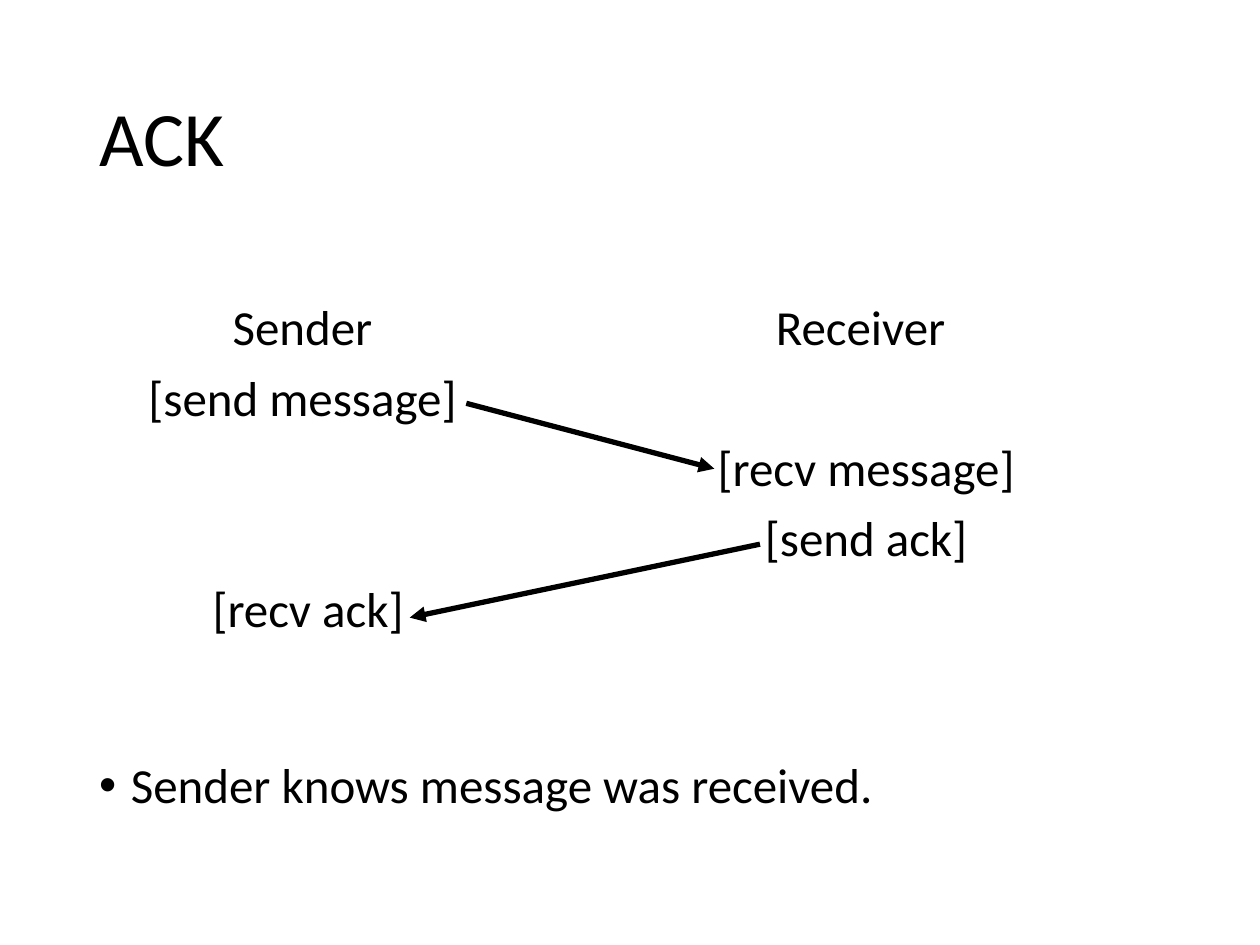
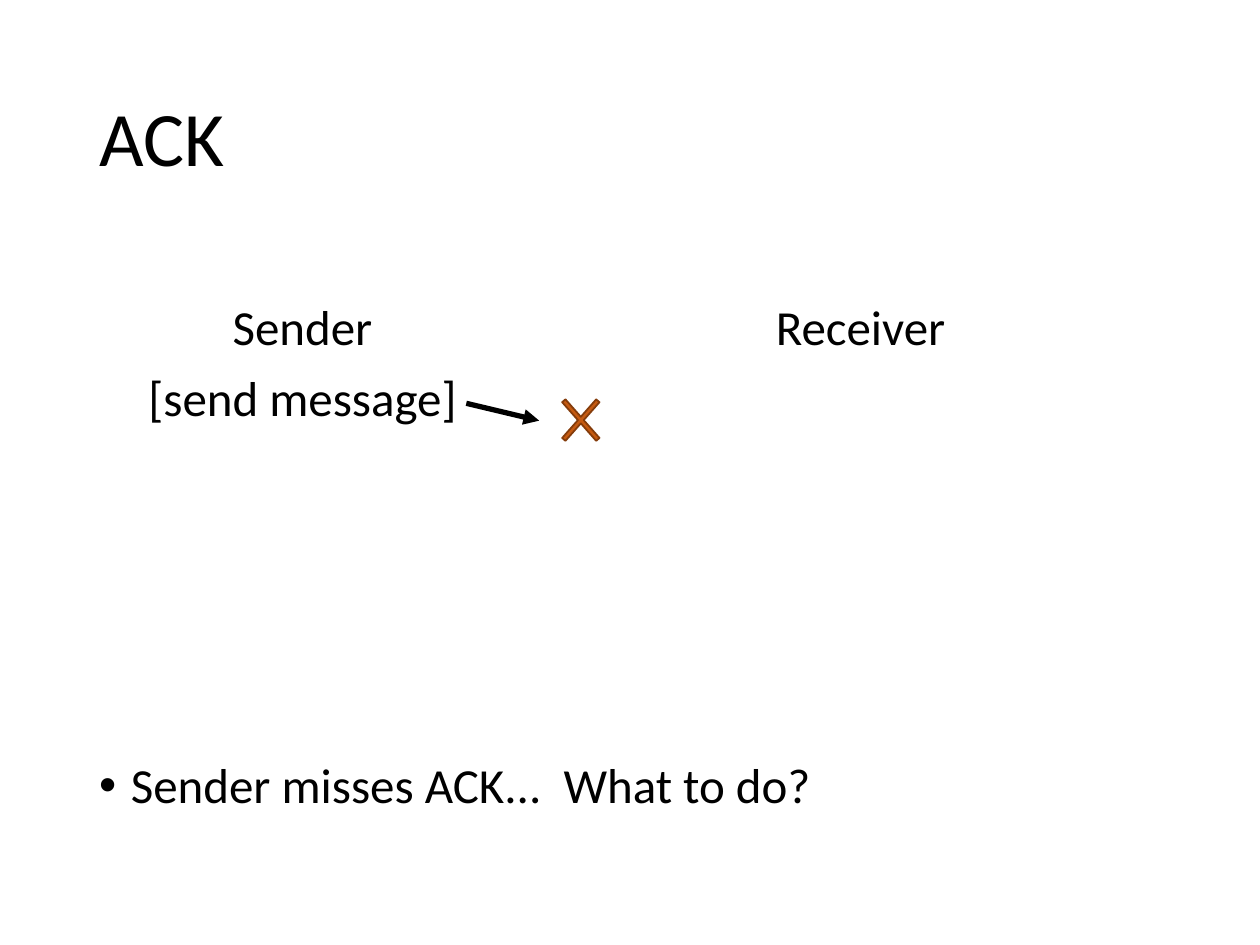
from dataclasses import dataclass
from typing import Any

from pptx import Presentation
from pptx import util as u
from pptx.dml import color
from pptx.enum import shapes, text
from pptx.oxml import ns
from lxml import etree

COLOURS = {"ink": "000000", "cross": "C55A11", "cross_edge": "843C0B"}
FONT = "Calibri"
BODY_SIZE = u.Pt(28)
ROW_PITCH = 40.2
ROW_GAP = 10
LEFT_COLUMN, RIGHT_COLUMN = 1.75, 13.0


@dataclass(frozen=True)
class Box:
    left: float
    top: float
    width: float
    height: float

    def lengths(self) -> list[u.Length]:
        return [u.Cm(v) for v in (self.left, self.top, self.width, self.height)]


@dataclass(frozen=True)
class Row:
    text: str
    skipped: int = 0


@dataclass(frozen=True)
class Arrow:
    x1: float
    y1: float
    x2: float
    y2: float


@dataclass(frozen=True)
class Exchange:
    sender: tuple[Row, ...]
    receiver: tuple[Row, ...]
    arrows: tuple[Arrow, ...]
    remark: str
    cross: Box | None = None


TITLE_BOX = Box(1.75, 1.02, 21.89, 3.68)
REMARK_BOX = Box(1.75, 15.21, 21.89, 1.96)
SENDER_START = (Row("Sender "), Row("[send message] "))

EXCHANGES = (
    Exchange(
        sender=(*SENDER_START, Row("[recv ack]", skipped=2)),
        receiver=(Row("Receiver "), Row("[recv message]", skipped=1), Row("[send ack]")),
        arrows=(Arrow(9.4, 8.13, 14.4, 9.45), Arrow(15.32, 10.97, 8.26, 12.45)),
        remark="Sender knows message was received.",
    ),
    Exchange(
        sender=SENDER_START,
        receiver=(Row("Receiver "),),
        arrows=(Arrow(9.4, 8.13, 10.87, 8.48),),
        remark="Sender misses ACK...  What to do?",
        cross=Box(11.05, 7.72, 1.32, 1.5),
    ),
)


def rgb(name: str) -> color.RGBColor:
    return color.RGBColor.from_string(COLOURS[name])


def apply(target: Any, values: dict[str, Any]) -> None:
    for name, value in values.items():
        setattr(target, name, value)


def add_text(s: Any, box: Box, rows: tuple[Row, ...], size: u.Length = BODY_SIZE,
             align: Any = text.PP_ALIGN.LEFT, anchor: Any = text.MSO_ANCHOR.TOP,
             gap: float = ROW_GAP) -> Any:
    tf = s.shapes.add_textbox(*box.lengths()).text_frame
    apply(tf, {"word_wrap": True, "vertical_anchor": anchor})
    for i, row in enumerate(rows):
        p = tf.add_paragraph() if i else tf.paragraphs[0]
        apply(p, {"alignment": align, "line_spacing": 0.9,
                  "space_before": u.Pt(gap + ROW_PITCH * row.skipped)})
        r = p.add_run()
        r.text = row.text
        apply(r.font, {"name": FONT, "size": size})
        r.font.color.rgb = rgb("ink")
    return tf


def add_bullet(p: Any) -> None:
    pPr = p._p.get_or_add_pPr()
    indent = u.Cm(0.64)
    pPr.set("marL", str(indent))
    pPr.set("indent", str(-indent))
    etree.SubElement(pPr, ns.qn("a:buFont"), typeface="Arial")
    etree.SubElement(pPr, ns.qn("a:buChar"), char="•")


def add_arrow(s: Any, arrow: Arrow) -> None:
    ends = [u.Cm(v) for v in (arrow.x1, arrow.y1, arrow.x2, arrow.y2)]
    line = s.shapes.add_connector(shapes.MSO_CONNECTOR.STRAIGHT, *ends)
    line.line.color.rgb = rgb("ink")
    line.line.width = u.Pt(3)
    etree.SubElement(line.line._get_or_add_ln(), ns.qn("a:tailEnd"), type="triangle")
    etree.SubElement(line._element.spPr, ns.qn("a:effectLst"))


def add_cross(s: Any, box: Box) -> None:
    sp = s.shapes.add_shape(shapes.MSO_SHAPE.MATH_MULTIPLY, *box.lengths())
    sp.adjustments[0] = 0.067
    sp.shadow.inherit = False
    sp.fill.solid()
    sp.fill.fore_color.rgb = rgb("cross")
    sp.line.color.rgb = rgb("cross_edge")
    sp.line.width = u.Pt(1)


def add_exchange(prs: Any, exchange: Exchange) -> None:
    s = prs.slides.add_slide(prs.slide_layouts[6])
    add_text(s, TITLE_BOX, (Row("ACK"),), u.Pt(44), anchor=text.MSO_ANCHOR.MIDDLE, gap=0)
    remark = add_text(s, REMARK_BOX, (Row(exchange.remark),))
    add_bullet(remark.paragraphs[0])
    for left, rows in ((LEFT_COLUMN, exchange.sender), (RIGHT_COLUMN, exchange.receiver)):
        add_text(s, Box(left, 5.99, 8.92, 7.32), rows, align=text.PP_ALIGN.CENTER)
    for arrow in exchange.arrows:
        add_arrow(s, arrow)
    if exchange.cross:
        add_cross(s, exchange.cross)


def main() -> None:
    prs = Presentation()
    apply(prs, {"slide_width": u.Cm(25.4), "slide_height": u.Cm(19.05)})
    for exchange in EXCHANGES:
        add_exchange(prs, exchange)
    prs.save("out.pptx")


if __name__ == "__main__":
    main()
